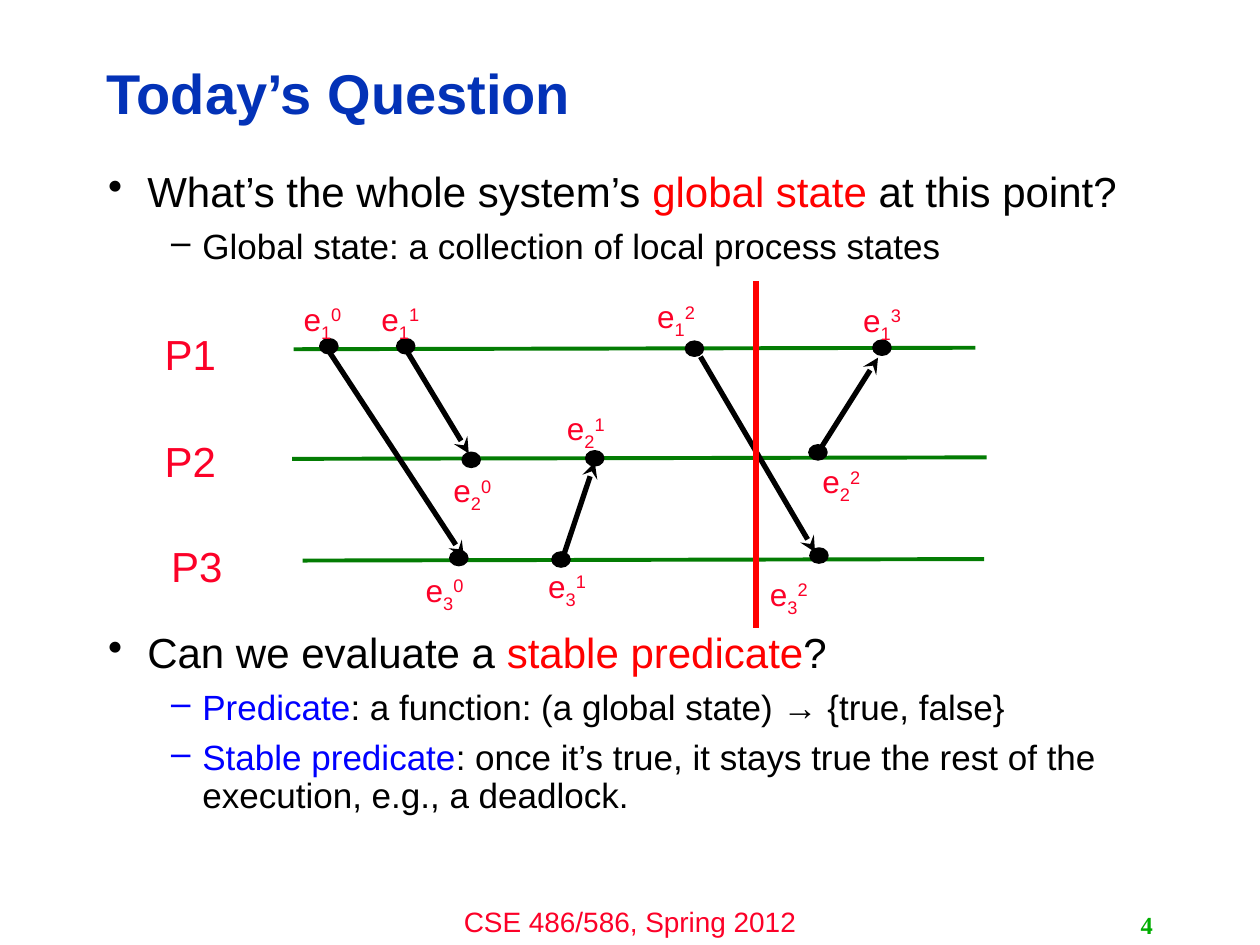
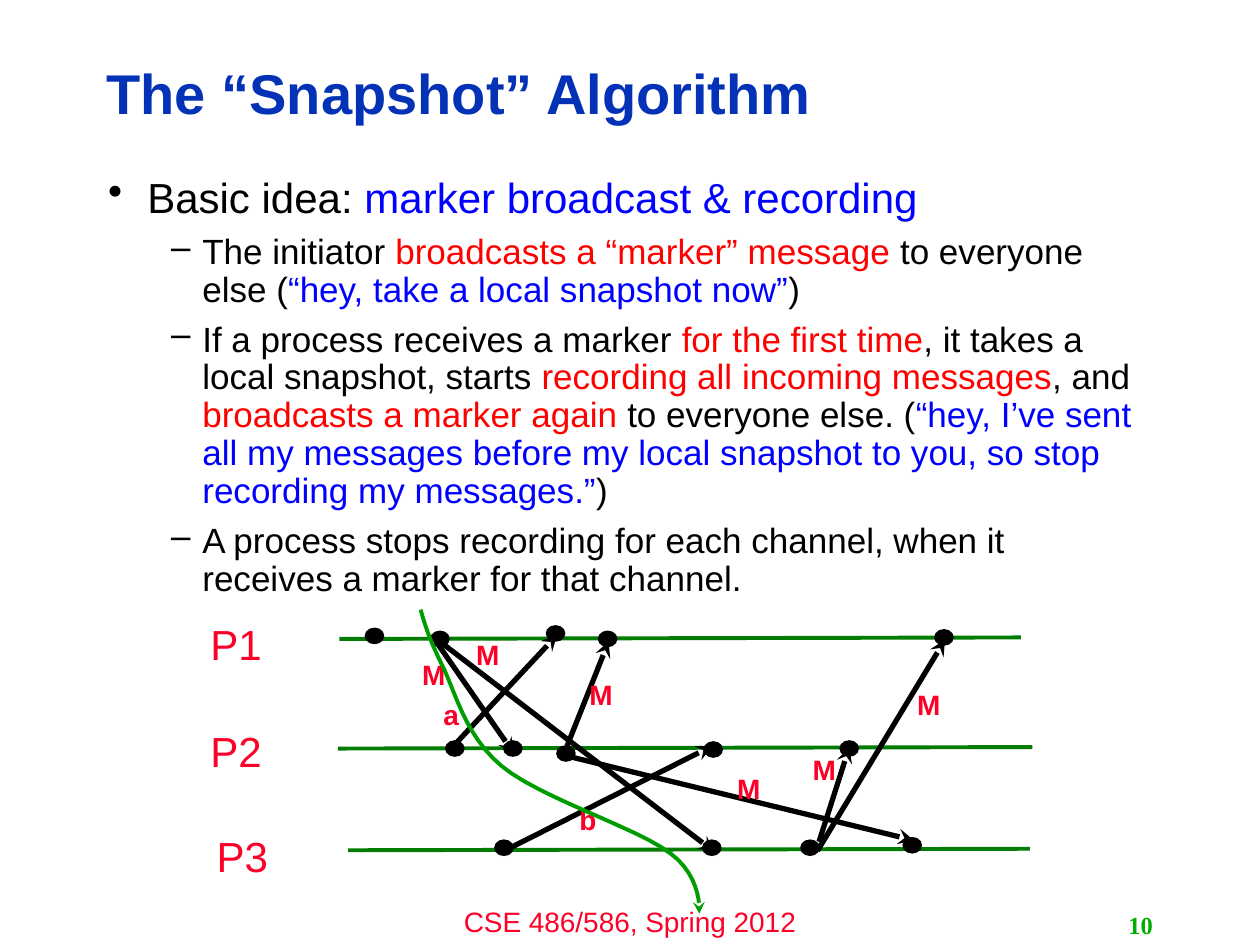
from dataclasses import dataclass
from pptx import Presentation, util as u
from pptx.dml import color as col
from pptx.enum import shapes as sh, text as tx
from pptx.oxml import xmlchemy as xm
from lxml import etree

Cm, Pt = u.Cm, u.Pt
NS = "{http://schemas.openxmlformats.org/drawingml/2006/main}"


@dataclass(frozen=True)
class Theme:
    font: str = "Arial"
    serif: str = "Times New Roman"
    ink: str = "000000"
    head: str = "0332B7"
    mark: str = "FC0128"
    red: str = "FF0000"
    blue: str = "0000FF"
    lane: str = "037C03"
    cut: str = "009D00"
    page: str = "00AE00"
    title: int = 32
    main: int = 24
    sub: int = 20
    event: int = 18
    note: int = 16
    num: int = 14
    thin: float = 2.25
    thick: float = 3


T = Theme()


def rgb(hue):
    return col.RGBColor.from_string(hue)


def curve(start, parts, steps=12):
    pts = [start]
    for b, c, d in parts:
        a = pts[-1]
        for i in range(1, steps + 1):
            t = i / steps
            s = 1 - t
            pts.append(tuple(
                s**3 * a[k] + 3 * s * s * t * b[k] + 3 * s * t * t * c[k] + t**3 * d[k]
                for k in (0, 1)))
    return pts


class Deck:
    def __init__(self):
        self.prs = Presentation()
        self.prs.slide_width, self.prs.slide_height = Cm(25.4), Cm(19.05)

    def page(self, title, num):
        self.slide = self.prs.slides.add_slide(self.prs.slide_layouts[6])
        self.art = self.slide.shapes
        self.label("CSE 486/586, Spring 2012", (8.46, 18.11, 8.48, 0.94),
                   T.note, align=tx.PP_ALIGN.CENTER)
        head = self.label(title, (1.9, 0.91, 20.27, 2.06), T.title, T.head, True)
        head.vertical_anchor = tx.MSO_ANCHOR.MIDDLE
        head.paragraphs[0].line_spacing = 0.9
        foot = self.label(str(num), (18.21, 18.24, 5.28, 0.81), T.num, T.page,
                          True, tx.PP_ALIGN.RIGHT, T.serif)
        foot.vertical_anchor = tx.MSO_ANCHOR.MIDDLE

    def frame(self, box):
        frame = self.art.add_textbox(*map(Cm, box)).text_frame
        frame.word_wrap = True
        return frame

    def style(self, run, size, hue, bold=False, face=T.font):
        font = run.font
        font.name, font.size, font.bold = face, Pt(size), bold
        font.color.rgb = rgb(hue)

    def label(self, words, box, size, hue=T.mark, bold=False,
              align=tx.PP_ALIGN.LEFT, face=T.font):
        frame = self.frame(box)
        frame.text = words
        para = frame.paragraphs[0]
        para.alignment = align
        self.style(para.runs[0], size, hue, bold, face)
        return frame

    def event(self, proc, step, x, y):
        frame = self.frame((x, y, 1.55, 0.94))
        para = frame.paragraphs[0]
        for words, base in (("e", 0), (proc, -25000), (step, 30000)):
            run = para.add_run()
            run.text = str(words)
            self.style(run, T.event, T.mark)
            if base:
                run.font._element.set("baseline", str(base))

    def body(self, items):
        frame = self.frame((1.93, 3.33, 21.34, 13.69))
        for i, (level, gap, lead, runs) in enumerate(items):
            para = frame.paragraphs[0] if i == 0 else frame.add_paragraph()
            size = T.sub if level else T.main
            para.line_spacing, para.space_before = lead, Pt(gap)
            left, hang, sign = ((1.9, 0.63, "–") if level else (0.79, 0.79, "•"))
            props = para._p.get_or_add_pPr()
            props.set("marL", str(Cm(left)))
            props.set("indent", str(-Cm(hang)))
            etree.SubElement(props, NS + "buChar").set("char", sign)
            for words, hue in runs:
                run = para.add_run()
                run.text = words
                self.style(run, size, hue)

    def tip(self, line):
        ln = line._get_or_add_ln() if hasattr(line, "_get_or_add_ln") else line
        etree.SubElement(ln, NS + "tailEnd").set("type", "stealth")

    def line(self, ends, hue=T.ink, width=T.thick, tip=False):
        line = self.art.add_connector(sh.MSO_CONNECTOR.STRAIGHT, *map(Cm, ends))
        line.line.color.rgb, line.line.width = rgb(hue), Pt(width)
        if tip:
            self.tip(line.line)
        etree.SubElement(line._element.spPr, NS + "effectLst")

    def dot(self, x, y):
        dot = self.art.add_shape(sh.MSO_SHAPE.OVAL, *map(Cm, (x, y, 0.36, 0.3)))
        dot.shadow.inherit = False
        dot.fill.solid()
        dot.fill.fore_color.rgb = dot.line.color.rgb = rgb(T.ink)
        dot.line.width = Pt(1)

    def path_line(self, pts):
        pts = [(Cm(x), Cm(y)) for x, y in pts]
        pen = self.art.build_freeform(*pts[0])
        pen.add_line_segments(pts[1:], close=False)
        wave = pen.convert_to_shape()
        wave.shadow.inherit = False
        wave.fill.background()
        wave.line.color.rgb, wave.line.width = rgb(T.cut), Pt(T.thin)
        self.tip(wave.line)

    def lanes(self, x, y):
        rows = ((0, 0, 2.85, 16.59, 0.54), (0, 2.16, 2.82, 16.82, 2.75),
                (0.13, 4.27, 3.03, 16.77, 4.8))
        for i, (dx, dy, start, end, top) in enumerate(rows, 1):
            self.label(f"P{i}", (x + dx, y + dy, 3.2, 1.17), T.main)
            self.line((x + start, y + top, x + end, y + top - 0.03), T.lane, T.thin)

    def flow(self, dots, sends):
        for spot in dots:
            self.dot(*spot)
        for ends in sends:
            self.line(ends, tip=True)


deck = Deck()
deck.page("Today’s Question", 4)
deck.body([
    (0, 0, 0.9, [("What’s the whole system’s ", T.ink), ("global state", T.red),
                 (" at this point?", T.ink)]),
    (1, 7, 0.9, [("Global state: a collection of local process states", T.ink)]),
    (0, 209, 0.9, [("Can we evaluate a ", T.ink), ("stable predicate", T.red),
                   ("?", T.ink)]),
    (1, 7, 0.9, [("Predicate", T.blue),
                 (": a function: (a global state) → {true, false}", T.ink)]),
    (1, 7, 0.9, [("Stable predicate", T.blue),
                 (": once it’s true, it stays true the rest of the execution, "
                  "e.g., a deadlock.", T.ink)]),
])
deck.lanes(3.07, 6.5)
deck.flow(
    [(6.45, 6.83), (8, 6.83), (13.82, 6.88), (17.6, 6.86),
     (9.32, 9.12), (11.81, 9.09), (16.31, 8.97),
     (9.07, 11.1), (11.13, 11.13), (16.33, 11.05)],
    [(6.65, 7.11, 9.35, 11.23), (8.18, 7.04, 9.45, 9.14),
     (11.35, 11.23, 11.99, 9.32), (16.48, 9.14, 17.7, 7.21),
     (14.12, 7.19, 16.43, 11.13)])
events = (
    ((5.87, 5.92), (7.44, 5.92), (13, 5.87), (17.15, 5.94)),
    ((8.89, 9.37), (11.18, 8.13), (16.33, 9.19)),
    ((8.33, 11.38), (10.8, 11.3), (15.27, 11.46)),
)
for proc, spots in enumerate(events, 1):
    for step, spot in enumerate(spots):
        deck.event(proc, step, *spot)
deck.line((15.24, 5.66, 15.24, 12.65), T.red)

deck.page("The “Snapshot” Algorithm", 10)
deck.body([
    (0, 0, 1.0, [("Basic idea: ", T.ink), ("marker broadcast & recording", T.blue)]),
    (1, 7, 0.9, [("The initiator ", T.ink), ("broadcasts a “marker” message", T.red),
                 (" to everyone else (", T.ink),
                 ("“hey, take a local snapshot now”", T.blue), (")", T.ink)]),
    (1, 7, 0.9, [("If a process receives a marker ", T.ink),
                 ("for the first time", T.red),
                 (", it takes a local snapshot, starts ", T.ink),
                 ("recording all incoming messages", T.red), (", and ", T.ink),
                 ("broadcasts a marker again", T.red),
                 (" to everyone else. (", T.ink),
                 ("“hey, I’ve sent all my messages before my local snapshot to you, "
                  "so stop recording my messages.”", T.blue), (")", T.ink)]),
    (1, 7, 0.9, [("A process stops recording for each channel, when it receives "
                  "a marker for that channel.", T.ink)]),
])
deck.lanes(3.99, 12.34)
deck.flow(
    [(7.37, 12.67), (8.69, 12.73), (11.02, 12.62), (12.07, 12.73), (18.85, 12.7),
     (8.99, 14.94), (10.16, 14.94), (11.23, 15.04), (14.2, 14.96), (16.94, 14.94),
     (9.98, 16.94), (14.17, 16.94), (16.15, 16.94), (18.21, 16.89)],
    [(9.14, 15.04, 11.23, 12.8), (10.13, 17.17, 14.35, 15.04),
     (8.79, 12.93, 10.36, 15.19), (11.43, 15.04, 12.27, 12.93),
     (8.89, 12.95, 14.4, 17.17), (11.43, 15.24, 18.42, 16.94),
     (16.51, 16.97, 17.12, 15.06), (16.48, 17.15, 19.05, 12.9)])
notes = (("a", 8.69, 13.94), ("b", 11.43, 16.05), ("M", 8.26, 13.13),
         ("M", 11.63, 13.54), ("M", 9.35, 12.73), ("M", 14.61, 15.42),
         ("M", 18.24, 13.74), ("M", 16.13, 15.04))
for words, x, y in notes:
    deck.label(words, (x, y, 1.02, 0.86), T.note, bold=True)
deck.path_line(curve((8.48, 12.29), [
    ((8.56, 12.57), (8.64, 12.85), (8.89, 13.36)),
    ((9.17, 13.89), (9.35, 14.81), (10.11, 15.44)),
    ((10.87, 16.08), (12.85, 16.69), (13.51, 17.2)),
    ((14.17, 17.68), (14.1, 18.42), (14.1, 18.42)),
]))
deck.prs.save("out.pptx")
